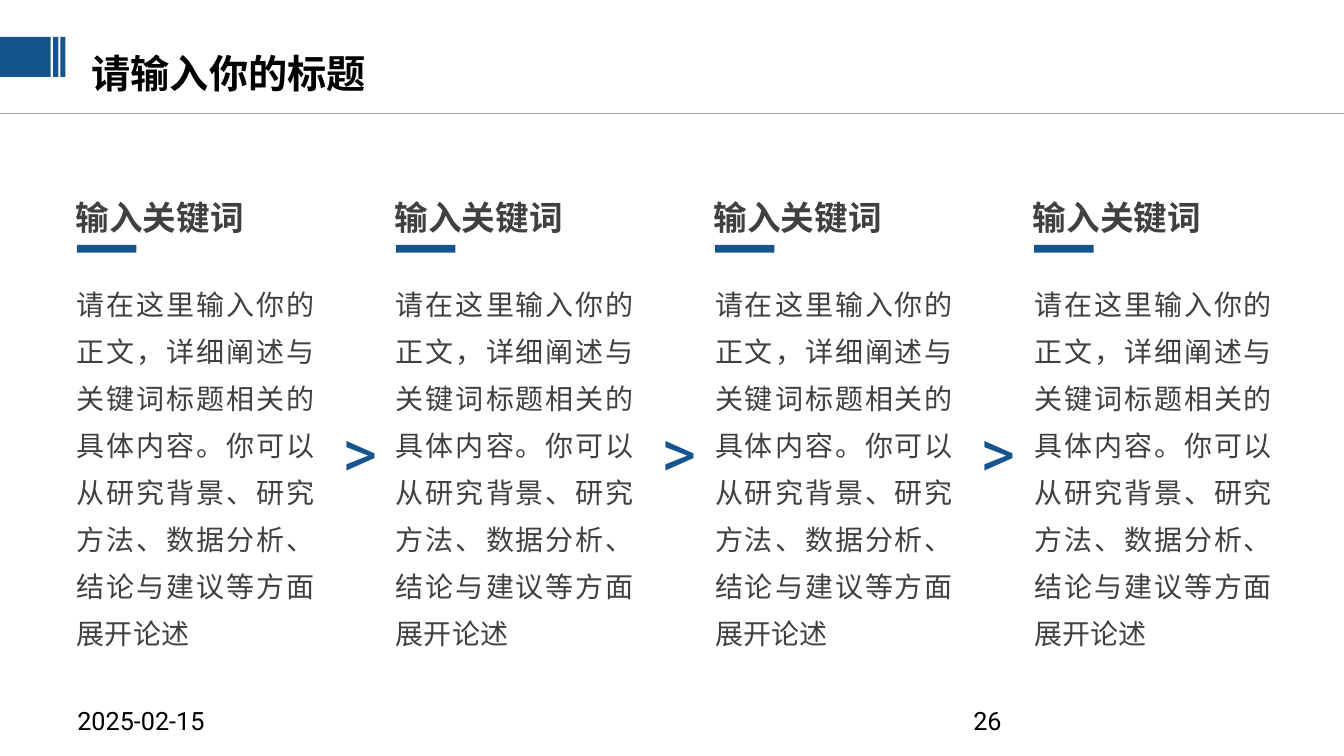
from dataclasses import dataclass

from lxml.etree import SubElement
from pptx import Presentation
from pptx.dml.color import RGBColor
from pptx.enum.shapes import MSO_CONNECTOR, MSO_SHAPE
from pptx.enum.text import MSO_ANCHOR, MSO_AUTO_SIZE, PP_ALIGN
from pptx.oxml.ns import qn
from pptx.util import Cm, Pt


@dataclass(frozen=True)
class Theme:
    blue: str = "15548D"
    gray: str = "404040"
    rule: str = "A6A6A6"
    black: str = "000000"
    cjk: str = "Noto Sans CJK SC"
    latin: str = "Roboto"
    title: int = 28
    head: int = 24
    body: int = 20
    foot: int = 18
    arrow: int = 48


class Page:
    def __init__(self, slide, theme):
        self.slide = slide
        self.theme = theme

    def fill_text(self, shape, words, size, color, font, bold=False,
                  align=PP_ALIGN.LEFT, wrap=False, left=0.0, lines=None):
        frame = shape.text_frame
        frame.text = words
        frame.word_wrap = wrap
        frame.auto_size = MSO_AUTO_SIZE.SHAPE_TO_FIT_TEXT
        frame.vertical_anchor = MSO_ANCHOR.TOP
        frame.margin_left = Cm(left)
        frame.margin_right = Cm(0.25)
        frame.margin_top = frame.margin_bottom = Cm(0.13)
        para = frame.paragraphs[0]
        para.alignment = align
        para.space_before = Pt(0)
        if lines:
            para.line_spacing = lines
        run = para.runs[0]
        run.font.size = Pt(size)
        run.font.bold = bold
        run.font.color.rgb = RGBColor.from_string(color)
        run.font.name = font
        # East Asian glyphs need their own typeface entry
        SubElement(run.font._element, qn("a:ea"), typeface=font)

    def title(self, words, x, y, w, h):
        shape = self.slide.shapes.title
        shape.left, shape.top, shape.width, shape.height = map(Cm, (x, y, w, h))
        look = self.theme
        self.fill_text(shape, words, look.title, look.black, look.cjk, bold=True)

    def text(self, words, x, y, w, h, *style, **more):
        box = self.slide.shapes.add_textbox(Cm(x), Cm(y), Cm(w), Cm(h))
        self.fill_text(box, words, *style, **more)

    def bar(self, x, y, w, h):
        shape = self.slide.shapes.add_shape(
            MSO_SHAPE.RECTANGLE, Cm(x), Cm(y), Cm(w), Cm(h))
        shape.shadow.inherit = False
        shape.fill.solid()
        shape.fill.fore_color.rgb = RGBColor.from_string(self.theme.blue)
        shape.line.fill.background()

    def rule(self, y, w):
        line = self.slide.shapes.add_connector(
            MSO_CONNECTOR.STRAIGHT, 0, Cm(y), Cm(w), Cm(y))
        line.line.color.rgb = RGBColor.from_string(self.theme.rule)
        line.line.width = Pt(0.75)
        SubElement(line._element.spPr, qn("a:effectLst"))


HEAD = "输入关键词"
BODY = ("请在这里输入你的正文，详细阐述与关键词标题相关的具体内容。"
        "你可以从研究背景、研究方法、数据分析、结论与建议等方面展开论述")
WIDE, HIGH = 33.87, 19.05
COUNT, START, STEP = 4, 1.94, 8.04


def main():
    deck = Presentation()
    deck.slide_width, deck.slide_height = Cm(WIDE), Cm(HIGH)
    look = Theme()
    page = Page(deck.slides.add_slide(deck.slide_layouts[5]), look)

    # Title band
    page.rule(2.85, WIDE)
    page.title("请输入你的标题", 2.31, 1.12, 7.24, 1.45)
    for x, w in ((0, 1.28), (1.34, 0.13), (1.52, 0.13)):
        page.bar(x, 0.93, w, 1.01)

    # Keyword columns, with an arrow between neighbours
    for i in range(COUNT):
        x = START + i * STEP
        page.text(HEAD, x - 0.05, 4.83, 4.52, 1.27, look.head, look.gray,
                  look.cjk, bold=True, align=PP_ALIGN.CENTER)
        page.bar(x, 6.17, 1.5, 0.2)
        page.text(BODY, x, 6.78, 6.25, 9.7, look.body, look.gray, look.cjk,
                  align=PP_ALIGN.JUSTIFY, wrap=True, lines=1.4)
        if i < COUNT - 1:
            page.text(">", x + 6.33, 10.21, 1.63, 2.31, look.arrow, look.blue,
                      look.latin, align=PP_ALIGN.CENTER, left=0.25)

    # Date and page number
    for words, x in (("2025-02-15", 1.7), ("26", 24.28)):
        page.text(words, x, 17.65, 7.9, 1.02, look.foot, look.black,
                  look.latin, wrap=True, left=0.25)

    deck.save("out.pptx")


if __name__ == "__main__":
    main()
